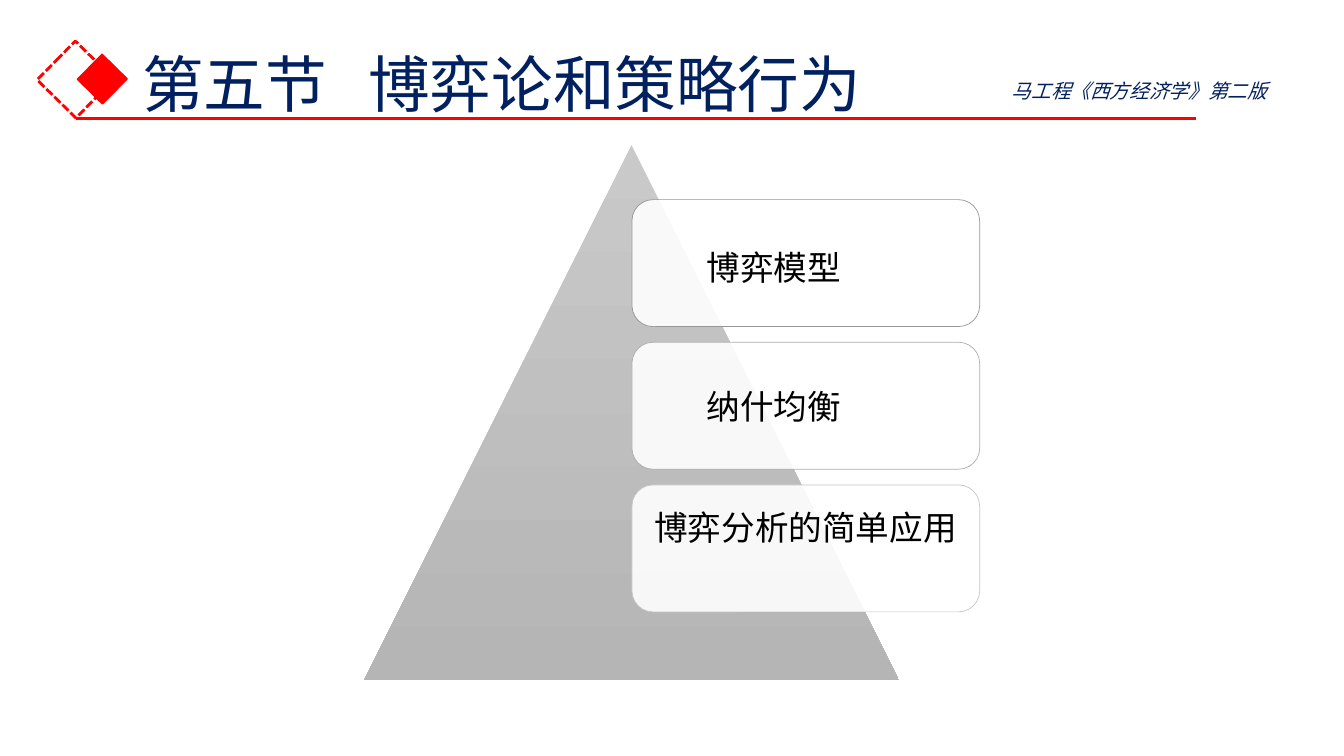
from dataclasses import dataclass

from lxml import etree
from pptx import Presentation
from pptx.dml.color import RGBColor
from pptx.enum import dml, shapes, text
from pptx.oxml import ns
from pptx.util import Pt

FONT = "Noto Sans CJK SC"
COLORS = {
    "navy": "002060",
    "red": "FF0000",
    "black": "000000",
    "white": "FFFFFF",
    "triangle_top": "C9C9C9",
    "triangle_bottom": "B5B5B5",
}
CARD_LEFT, CARD_TOP, CARD_PITCH = 451.4, 142.6, 101.9
CARD_WIDTH, CARD_HEIGHT = 248.4, 90.7
CARD_INSET = 11.5


@dataclass
class Card:
    label: str
    border: str
    indent: float = 0
    extra_top: float = 0
    extra_bottom: float = 0


@dataclass
class Square:
    left: float
    top: float
    side: float
    line_width: float
    filled: bool


CARDS = [
    Card("博弈模型", "969696", indent=37.5, extra_top=6),
    Card("纳什均衡", "AEAEAE", indent=37.5),
    Card("博弈分析的简单应用", "C6C6C6", extra_bottom=30),
]
SQUARES = [
    Square(34.6, 37.4, 38.9, 2, filled=False),
    Square(60.5, 43.9, 25.2, 1, filled=True),
]


def rgb(value: str) -> RGBColor:
    return RGBColor.from_string(value)


def box(left: float, top: float, width: float, height: float) -> tuple:
    return Pt(left), Pt(top), Pt(width), Pt(height)


def format_paragraph(paragraph, size: float, color: str, italic: bool = False) -> None:
    paragraph.alignment = text.PP_ALIGN.LEFT
    for run in paragraph.runs:
        font = run.font
        font.name, font.size, font.italic = FONT, Pt(size), italic
        font.color.rgb = rgb(color)
        east_asian = etree.SubElement(run._r.get_or_add_rPr(), ns.qn("a:ea"))
        east_asian.set("typeface", FONT)


def add_title(slide) -> None:
    title = slide.shapes.title
    title.left, title.top, title.width, title.height = box(94.3, 10.1, 799.9, 104.4)
    frame = title.text_frame
    frame.text = "第五节\t博弈论和策略行为"
    frame.auto_size = text.MSO_AUTO_SIZE.NONE
    frame.vertical_anchor = text.MSO_ANCHOR.MIDDLE
    paragraph = frame.paragraphs[0]
    paragraph.line_spacing = 0.9
    format_paragraph(paragraph, 44, COLORS["navy"])
    tabs = etree.SubElement(paragraph._p.get_or_add_pPr(), ns.qn("a:tabLst"))
    etree.SubElement(tabs, ns.qn("a:tab"), pos=str(Pt(161.6)), algn="l")


def add_triangle(slide) -> None:
    triangle = slide.shapes.add_shape(
        shapes.MSO_SHAPE.ISOSCELES_TRIANGLE, *box(259.9, 103.7, 382.3, 382.3))
    triangle.shadow.inherit = False
    triangle.line.fill.background()
    triangle.fill.gradient()
    triangle.fill.gradient_angle = 270
    for stop, name in zip(triangle.fill.gradient_stops, ("triangle_top", "triangle_bottom")):
        stop.color.rgb = rgb(COLORS[name])


def add_card(slide, card: Card, row: int) -> None:
    shape = slide.shapes.add_shape(
        shapes.MSO_SHAPE.ROUNDED_RECTANGLE,
        *box(CARD_LEFT, CARD_TOP + row * CARD_PITCH, CARD_WIDTH, CARD_HEIGHT))
    shape.shadow.inherit = False
    shape.fill.solid()
    shape.fill.fore_color.rgb = rgb(COLORS["white"])
    fill_color = shape._element.spPr.find(ns.qn("a:solidFill"))[0]
    etree.SubElement(fill_color, ns.qn("a:alpha"), val="90000")
    shape.line.color.rgb = rgb(card.border)
    shape.line.width = Pt(0.5)
    frame = shape.text_frame
    frame.text = card.label
    frame.word_wrap = True
    frame.vertical_anchor = text.MSO_ANCHOR.MIDDLE
    frame.margin_left = Pt(CARD_INSET + card.indent)
    frame.margin_right = Pt(CARD_INSET)
    frame.margin_top = Pt(CARD_INSET + card.extra_top)
    frame.margin_bottom = Pt(CARD_INSET + card.extra_bottom)
    format_paragraph(frame.paragraphs[0], 24, COLORS["black"])


def add_square(slide, square: Square) -> None:
    shape = slide.shapes.add_shape(
        shapes.MSO_SHAPE.RECTANGLE, *box(square.left, square.top, square.side, square.side))
    shape.shadow.inherit = False
    shape.rotation = 314.5
    shape.line.color.rgb = rgb(COLORS["red"])
    shape.line.width = Pt(square.line_width)
    if square.filled:
        shape.fill.solid()
        shape.fill.fore_color.rgb = rgb(COLORS["red"])
    else:
        shape.fill.background()
        shape.line.dash_style = dml.MSO_LINE.SQUARE_DOT
        shape._element.spPr.xfrm.set("flipV", "1")


def add_title_rule(slide) -> None:
    rule = slide.shapes.add_connector(
        shapes.MSO_CONNECTOR.STRAIGHT, Pt(54), Pt(84.5), Pt(854.6), Pt(84.5))
    rule.line.color.rgb = rgb(COLORS["red"])
    rule.line.width = Pt(2.25)
    etree.SubElement(rule._element.spPr, ns.qn("a:effectLst"))


def add_book_name(slide) -> None:
    frame = slide.shapes.add_textbox(*box(715.7, 52.6, 233.3, 24.5)).text_frame
    frame.text = "马工程《西方经济学》第二版"
    frame.word_wrap = True
    frame.auto_size = text.MSO_AUTO_SIZE.SHAPE_TO_FIT_TEXT
    format_paragraph(frame.paragraphs[0], 14, COLORS["navy"], italic=True)


def main() -> None:
    presentation = Presentation()
    presentation.slide_width, presentation.slide_height = Pt(960), Pt(540)
    slide = presentation.slides.add_slide(presentation.slide_layouts[5])
    add_title(slide)
    add_triangle(slide)
    for row, card in enumerate(CARDS):
        add_card(slide, card, row)
    for square in SQUARES:
        add_square(slide, square)
    add_title_rule(slide)
    add_book_name(slide)
    presentation.save("out.pptx")


if __name__ == "__main__":
    main()
